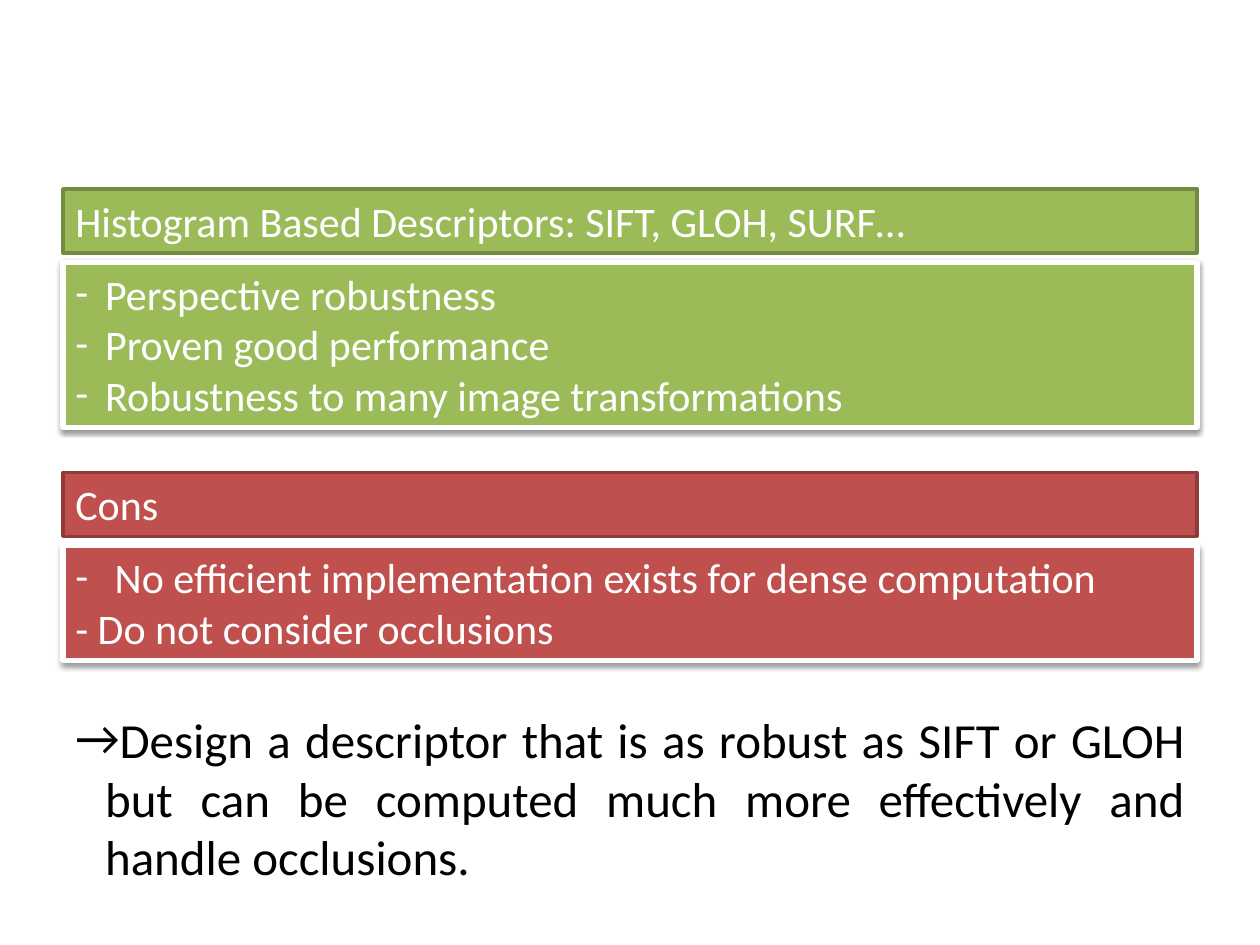
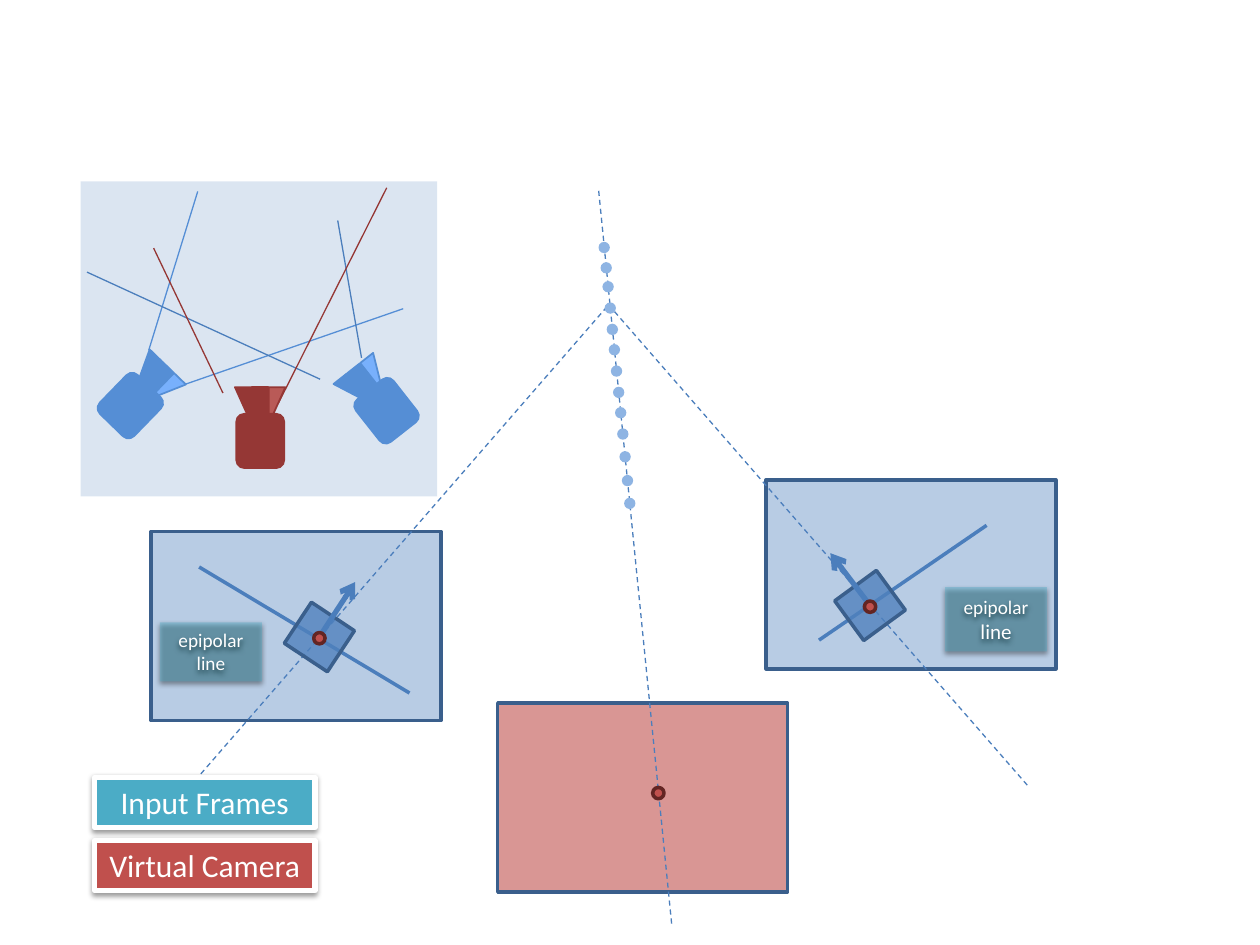
"""Two slides on dense descriptors: pros and cons, and matching along epipolar lines."""
from math import cos, radians, sin

from lxml.etree import SubElement
from pptx import Presentation
from pptx.dml.color import RGBColor
from pptx.enum.dml import MSO_LINE
from pptx.enum.shapes import MSO_CONNECTOR, MSO_SHAPE
from pptx.enum.text import MSO_ANCHOR, PP_ALIGN
from pptx.oxml.ns import qn
from pptx.util import Pt

COLORS = {
    "white": "FFFFFF", "black": "000000",
    "green": "9BBB59", "green_edge": "738A42",
    "red": "C0504D", "red_edge": "8E3B39",
    "teal": "4BACC6", "blue": "4F81BD", "blue_edge": "3A5F8C", "ray": "4B7EBC",
    "virtual": "D99694", "point_edge": "632523", "depth": "8EB4E3",
    "blue_camera": "558ED5", "blue_lens": "78B0FC",
    "red_camera": "953735", "red_lens": "B95A57",
}
FONT = "Calibri"

ARGUMENTS = [
    dict(heading="Histogram Based Descriptors: SIFT, GLOH, SURF…", color="green", top=108, height=94.3,
         items=[("-", 17, "Perspective robustness"), ("-", 17, "Proven good performance"),
                ("-", 17, "Robustness to many image transformations")]),
    dict(heading="Cons", color="red", top=270, height=65.5,
         items=[("-", 22.5, "No efficient implementation exists for dense computation"),
                (None, 0, "- Do not consider occlusions")]),
]
CONCLUSION = ("→", 17, "Design a descriptor that is as robust as SIFT or GLOH but can be "
                       "computed much more effectively and handle occlusions.")

FRAME_SIZE = (165.6, 108)
VIRTUAL_FRAME = (284.4, 401.8)
SCENE_PANEL = (46.1, 103.7, 203.8, 180)
INPUT_FRAMES = [
    dict(frame=(437.8, 274.3), patch=(497.2, 346), angle=-36.2, gradient=(474.5, 316.1),
         epipolar=(468, 365.8, 563.8, 300.2), label=(540, 335.5, 58.3, 36.7),
         words=[("epipolar", 11), (" line", 12)]),
    dict(frame=(86.4, 303.8), patch=(182.5, 364), angle=33.5, gradient=(203, 332.6),
         epipolar=(113.8, 324, 234, 396), label=(91.4, 355.7, 58.3, 33.8),
         words=[("epipolar line", 11)]),
]
SIGHT_LINES = [(108, 450, 347.8, 174.2), (347.8, 174.2, 588.2, 450)]
VIRTUAL_RAY = (383.8, 527.8, 342, 108)
VIRTUAL_POINT = (376.2, 453.2)
DEPTH_TOPS = [138.2, 149.8, 160.6, 172.8, 185, 196.6, 208.8, 221, 232.6, 244.8, 257.8, 271.4, 284.4]
CAMERAS = [
    dict(body=(74.5, 231.8), turn=44.1, color="blue", view="blue_camera",
         rays=[(85, 200.2, 113, 109.4), (230.4, 176.4, 105.8, 219.6)]),
    dict(body=(220.9, 234.7), turn=-38.2, color="blue", view="ray",
         rays=[(182.9, 216.7, 49.7, 155.5), (193, 126, 206.6, 204.5)]),
    dict(body=(148.7, 252), turn=0, color="red", view="red_camera",
         rays=[(127.4, 224.6, 87.8, 141.8), (221, 107.3, 159.1, 230.4)]),
]
HOOD = (20.9, 9.4)
CAMERA_PARTS = [
    (MSO_SHAPE.RECTANGLE, 0, -20.3, HOOD, False, "camera"),
    (MSO_SHAPE.RIGHT_TRIANGLE, 9.7, -20.3, HOOD, True, "lens"),
    (MSO_SHAPE.ROUNDED_RECTANGLE, 0, 0, (31, 27.4), False, "camera"),
    (MSO_SHAPE.RIGHT_TRIANGLE, -9.7, -20.3, HOOD, False, "camera"),
]
LEGEND = [("Input Frames", "teal", 444.2), ("Virtual Camera", "red", 480.2)]


def rgb(name):
    return RGBColor.from_string(COLORS[name])


def centered(x, y, width, height):
    return x - width / 2, y - height / 2, width, height


def add_box(slide, box, fill, edge=None, weight=2, alpha=None, shadow=False, kind=MSO_SHAPE.RECTANGLE):
    shape = slide.shapes.add_shape(kind, *map(Pt, box))
    shape.shadow.inherit = False
    shape.fill.solid()
    shape.fill.fore_color.rgb = rgb(fill)
    properties = shape.element.spPr
    if alpha:
        SubElement(properties.find(".//" + qn("a:srgbClr")), qn("a:alpha"), val=str(alpha * 1000))
    if edge:
        shape.line.color.rgb = rgb(edge)
        shape.line.width = Pt(weight)
    else:
        shape.line.fill.background()
    if shadow:
        cast = SubElement(properties.find(qn("a:effectLst")), qn("a:outerShdw"), blurRad=str(Pt(3.1)),
                          dist=str(Pt(1.6)), dir="5400000", rotWithShape="0")
        tint = SubElement(cast, qn("a:srgbClr"), val=COLORS["black"])
        SubElement(tint, qn("a:alpha"), val="38000")
    return shape


def add_line(slide, ends, color="ray", weight=0.75, dashed=False, arrow=False):
    line = slide.shapes.add_connector(MSO_CONNECTOR.STRAIGHT, *map(Pt, ends))
    line.line.color.rgb = rgb(color)
    line.line.width = Pt(weight)
    if dashed:
        line.line.dash_style = MSO_LINE.DASH
    properties = line._element.spPr
    if arrow:
        SubElement(properties.find(qn("a:ln")), qn("a:tailEnd"), type="arrow")
    SubElement(properties, qn("a:effectLst"))


def write(shape, items, size, color="white", align=PP_ALIGN.LEFT):
    """Fill a shape with (bullet, indent, text) paragraphs."""
    frame = shape.text_frame
    frame.word_wrap = True
    frame.vertical_anchor = MSO_ANCHOR.TOP
    for index, (bullet, indent, text) in enumerate(items):
        paragraph = frame.add_paragraph() if index else frame.paragraphs[0]
        paragraph.text = text
        paragraph.alignment = align
        if bullet:
            layout = paragraph._p.get_or_add_pPr()
            layout.set("marL", str(Pt(indent)))
            layout.set("indent", str(-Pt(indent)))
            SubElement(layout, qn("a:buFont"), typeface=FONT)
            SubElement(layout, qn("a:buChar"), char=bullet)
        paragraph.font.name = FONT
        paragraph.font.size = Pt(size)
        paragraph.font.color.rgb = rgb(color)


def add_point(slide, x, y):
    add_box(slide, centered(x, y, 6.5, 6.5), "red", "point_edge", kind=MSO_SHAPE.OVAL)


def add_camera(slide, body, turn, color, view, rays):
    angle = radians(turn)
    for kind, across, along, size, mirrored, tone in CAMERA_PARTS:
        x = body[0] + across * cos(angle) - along * sin(angle)
        y = body[1] + across * sin(angle) + along * cos(angle)
        part = add_box(slide, centered(x, y, *size), f"{color}_{tone}", f"{color}_camera", 1, kind=kind)
        part.rotation = 270 + turn
        placement = part.element.spPr.find(qn("a:xfrm"))
        placement.set("flipH", "1")
        if mirrored:
            placement.set("flipV", "1")
    for ray in rays:
        add_line(slide, ray, view)


def add_epipolar_view(slide, patch, angle, gradient, epipolar, label, words):
    add_line(slide, epipolar, weight=2)
    window = add_box(slide, centered(*patch, 29.5, 28.1), "blue", "blue_edge", alpha=79)
    window.rotation = angle
    add_line(slide, (*patch, *gradient), weight=3, arrow=True)
    add_point(slide, patch[0], patch[1] + 0.7)
    tag = add_box(slide, label, "teal", alpha=38, shadow=True)
    write(tag, [(None, 0, "")], 11, align=PP_ALIGN.CENTER)
    for word, size in words:
        run = tag.text_frame.paragraphs[0].add_run()
        run.text = word
        run.font.size = Pt(size)


def build_arguments(slide):
    for argument in ARGUMENTS:
        color, top = argument["color"], argument["top"]
        heading = add_box(slide, (36, top, 648, 36.5), color, f"{color}_edge")
        write(heading, [(None, 0, argument["heading"])], 24)
        details = add_box(slide, (36, top + 41.8, 648, argument["height"]), color, "white", 3, shadow=True)
        write(details, argument["items"], 24)
    conclusion = slide.shapes.add_textbox(*map(Pt, (36, 401.8, 648, 108)))
    write(conclusion, [CONCLUSION], 28, "black", PP_ALIGN.JUSTIFY)


def build_epipolar_scene(slide):
    for view in INPUT_FRAMES:
        add_box(slide, (*view["frame"], *FRAME_SIZE), "blue", "blue_edge", alpha=40)
    add_box(slide, SCENE_PANEL, "blue", alpha=20)
    for sight in SIGHT_LINES:
        add_line(slide, sight, dashed=True)
    for view in INPUT_FRAMES:
        add_epipolar_view(slide, **{key: value for key, value in view.items() if key != "frame"})
    add_box(slide, (*VIRTUAL_FRAME, *FRAME_SIZE), "virtual", "blue_edge")
    add_line(slide, VIRTUAL_RAY, dashed=True)
    for camera in CAMERAS:
        add_camera(slide, **camera)
    for top in DEPTH_TOPS:
        left = 342 + (top - DEPTH_TOPS[0]) * 0.1
        add_box(slide, (left, top, 6.5, 6.5), "depth", kind=MSO_SHAPE.OVAL)
    add_point(slide, *VIRTUAL_POINT)
    for name, color, top in LEGEND:
        entry = add_box(slide, (54, top, 126, 28.8), color, "white", 3, shadow=True)
        write(entry, [(None, 0, name)], 18, align=PP_ALIGN.CENTER)


def main():
    deck = Presentation()
    deck.slide_width, deck.slide_height = Pt(720), Pt(540)
    for build in (build_arguments, build_epipolar_scene):
        build(deck.slides.add_slide(deck.slide_layouts[6]))
    deck.save("out.pptx")


if __name__ == "__main__":
    main()
